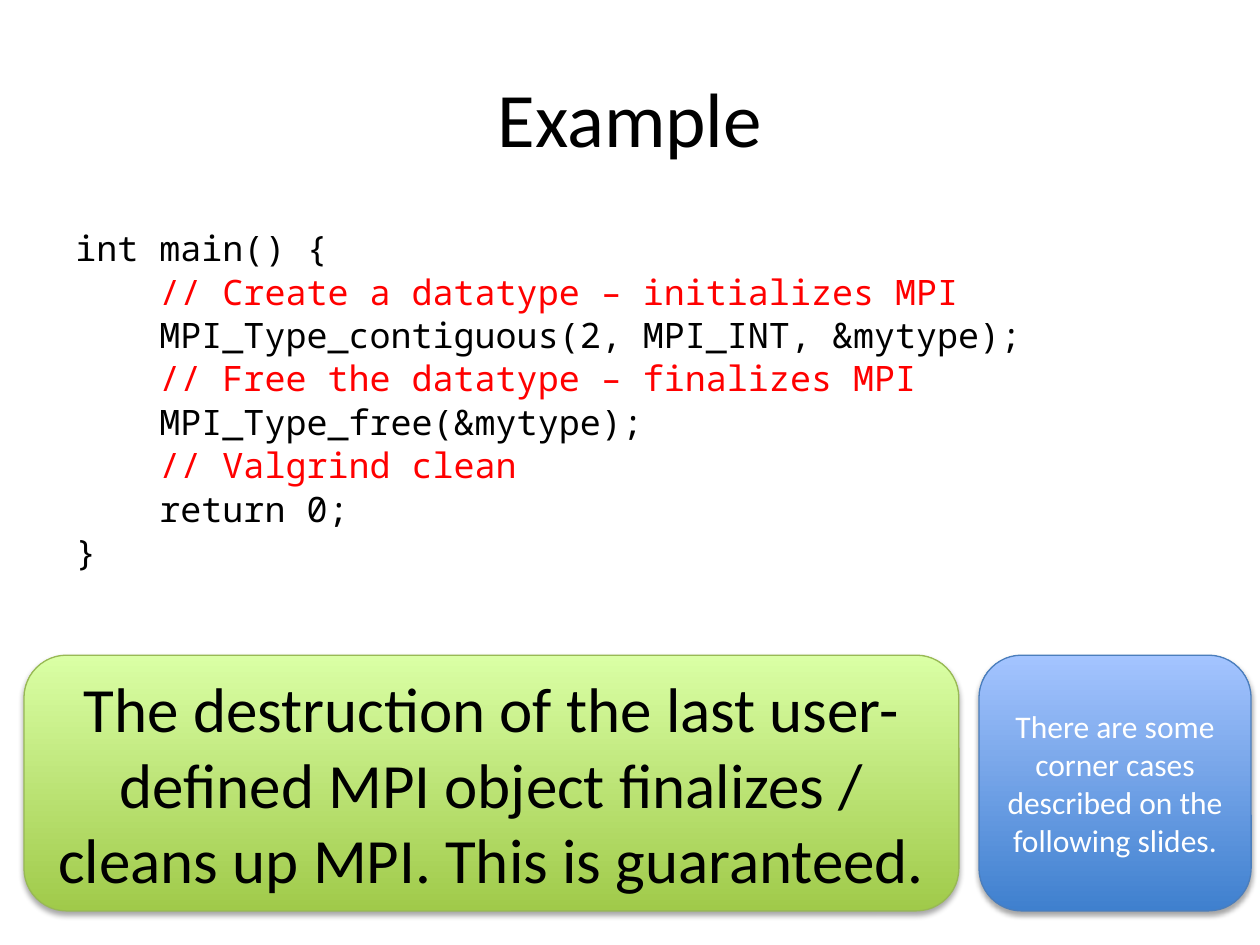
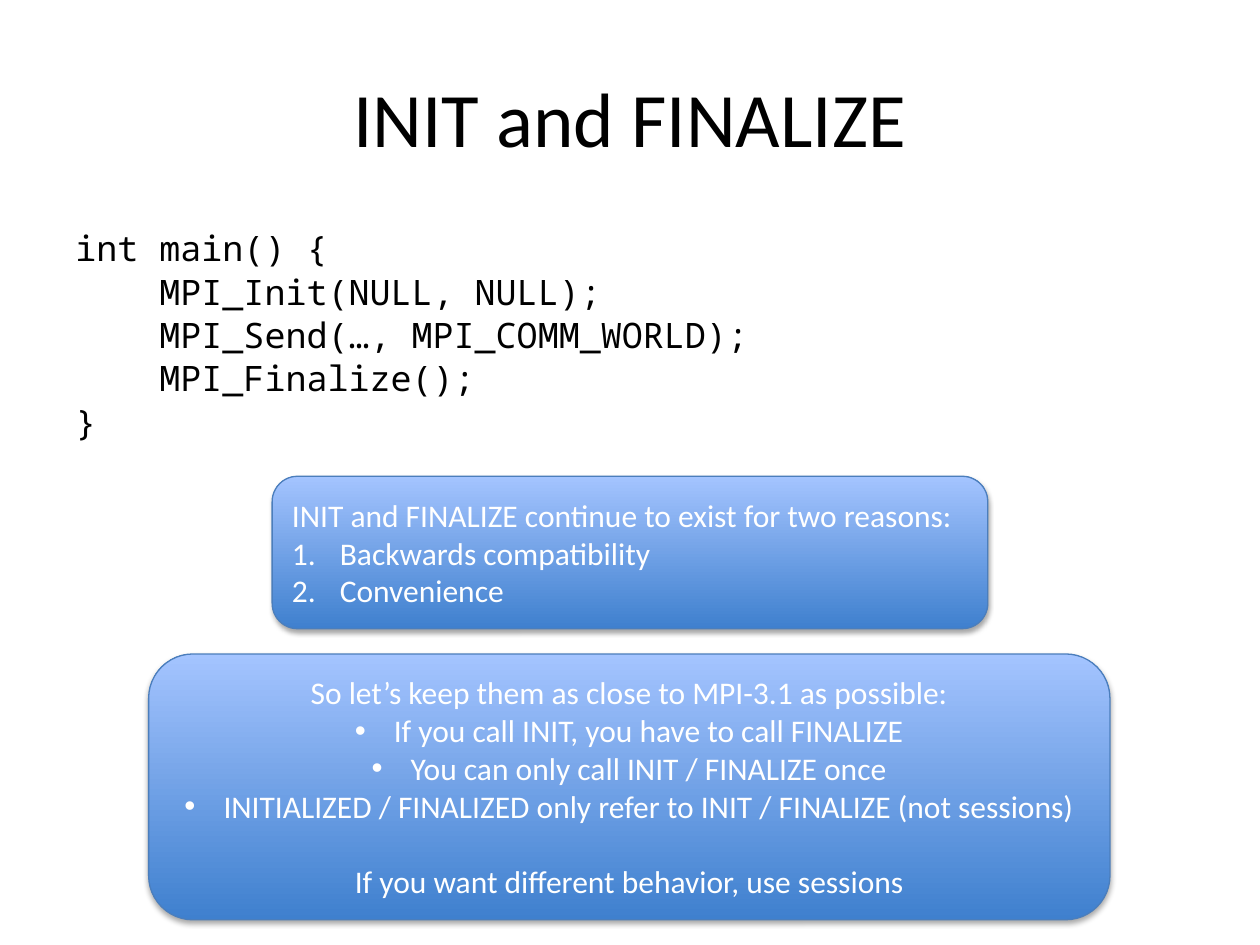
from lxml import etree
from pptx import Presentation
from pptx.dml.color import RGBColor
from pptx.enum.shapes import MSO_SHAPE as SHAPE
from pptx.enum.text import MSO_ANCHOR as ANCHOR, PP_ALIGN as ALIGN
from pptx.oxml.ns import qn
from pptx.util import Inches, Pt

# Shared colours, fonts and formats
BLACK = RGBColor(0x00, 0x00, 0x00)
WHITE = RGBColor(0xFF, 0xFF, 0xFF)
RED = RGBColor(0xFF, 0x00, 0x00)
GREEN = dict(bottom=RGBColor(0xA0, 0xCA, 0x4A), top=RGBColor(0xDA, 0xFF, 0xA5),
             line=RGBColor(0x98, 0xB9, 0x55))
BLUE = dict(bottom=RGBColor(0x3F, 0x80, 0xCE), top=RGBColor(0xA4, 0xC4, 0xFF),
            line=RGBColor(0x4B, 0x7E, 0xBC))

TITLE_FONT = dict(name="Calibri", size=Pt(44))
CODE_FONT = dict(name="Noto Sans Mono", size=Pt(20))
NOTE_FONT = dict(name="Calibri", size=Pt(18))
CLAIM_FONT = dict(name="Calibri", size=Pt(36))

NUMBER = ("buAutoNum", dict(type="arabicPeriod"), 0.38)
BULLET = ("buChar", dict(char="•"), 0.31)

# Slide content
EXAMPLE_CODE = [
    "int main() {",
    "    // Create a datatype – initializes MPI",
    "    MPI_Type_contiguous(2, MPI_INT, &mytype);",
    "    // Free the datatype – finalizes MPI",
    "    MPI_Type_free(&mytype);",
    "    // Valgrind clean",
    "    return 0;",
    "}",
]
INIT_CODE = [
    "int main() {",
    "    MPI_Init(NULL, NULL);",
    "    MPI_Send(…, MPI_COMM_WORLD);",
    "    MPI_Finalize();",
    "}",
]
REASONS = [
    ("INIT and FINALIZE continue to exist for two reasons:", None),
    ("Backwards compatibility", NUMBER),
    ("Convenience", NUMBER),
]
RULES = [
    ("So let’s keep them as close to MPI-3.1 as possible:", None),
    ("If you call INIT, you have to call FINALIZE", BULLET),
    ("You can only call INIT / FINALIZE once", BULLET),
    ("INITIALIZED / FINALIZED only refer to INIT / FINALIZE (not sessions)", BULLET),
    ("If you want different behavior, use sessions", None),
]


def set_all(obj, values):
    for key, value in values.items():
        setattr(obj, key, value)


def add_line(tf, index, text, font, color, align=ALIGN.LEFT):
    p = tf.paragraphs[0] if index == 0 else tf.add_paragraph()
    p.alignment = align
    r = p.add_run()
    r.text = text
    set_all(r.font, font)
    r.font.color.rgb = color
    return p


def add_box(s, left, top, width, height, anchor):
    box = s.shapes.add_textbox(*map(Inches, (left, top, width, height)))
    set_all(box.text_frame, dict(word_wrap=True, vertical_anchor=anchor))
    return box.text_frame


def add_title(s, text):
    tf = add_box(s, 0.5, 0.3, 9, 1.25, ANCHOR.MIDDLE)
    add_line(tf, 0, text, TITLE_FONT, BLACK, ALIGN.CENTER)


def add_code(s, lines):
    tf = add_box(s, 0.5, 1.75, 9, 4.95, ANCHOR.TOP)
    for i, text in enumerate(lines):
        color = RED if text.lstrip().startswith("//") else BLACK
        p = add_line(tf, i, text, CODE_FONT, color)
        if i:
            p.space_before = Pt(0.8)


def add_shadow(sp):
    sp.shadow.inherit = False
    effects = sp._element.spPr.find(qn("a:effectLst"))
    shadow = etree.SubElement(effects, qn("a:outerShdw"), blurRad=str(Pt(3.1)),
                              dist=str(Pt(1.8)), dir="5400000", rotWithShape="0")
    color = etree.SubElement(shadow, qn("a:srgbClr"), val=str(BLACK))
    etree.SubElement(color, qn("a:alpha"), val="35000")


def set_marker(p, marker):
    tag, attrs, indent = marker
    pPr = p._p.get_or_add_pPr()
    pPr.set("marL", str(Inches(indent)))
    pPr.set("indent", str(-Inches(indent)))
    etree.SubElement(pPr, qn("a:buFont"), typeface="Arial" if tag == "buChar" else "+mj-lt")
    etree.SubElement(pPr, qn("a:" + tag), **attrs)


def add_callout(s, place, lines, theme=BLUE, font=NOTE_FONT, color=WHITE, align=ALIGN.CENTER):
    sp = s.shapes.add_shape(SHAPE.ROUNDED_RECTANGLE, *map(Inches, place))
    sp.fill.gradient()
    sp.fill.gradient_angle = 90
    for stop, key in zip(sp.fill.gradient_stops, ("bottom", "top")):
        stop.color.rgb = theme[key]
    for stop, position in zip(sp.fill.gradient_stops, (0, 1)):
        stop.position = position
    sp.line.color.rgb = theme["line"]
    sp.line.width = Pt(0.75)
    add_shadow(sp)

    tf = sp.text_frame
    set_all(tf, dict(word_wrap=True, vertical_anchor=ANCHOR.MIDDLE))
    previous = None
    for i, (text, marker) in enumerate(lines):
        p = add_line(tf, i, text, font, color, align)
        if previous and not marker:
            p.space_before = Pt(21.6)  # one line of space after a list
        if marker:
            set_marker(p, marker)
        previous = marker


def add_slide(prs, title, code):
    s = prs.slides.add_slide(prs.slide_layouts[6])
    add_title(s, title)
    add_code(s, code)
    return s


def main():
    prs = Presentation()
    set_all(prs, dict(slide_width=Inches(10), slide_height=Inches(7.5)))

    # Example
    s = add_slide(prs, "Example", EXAMPLE_CODE)
    claim = ("The destruction of the last user-defined MPI object finalizes / "
             "cleans up MPI. This is guaranteed.")
    add_callout(s, (0.19, 5.2, 7.42, 2.03), [(claim, None)], GREEN, CLAIM_FONT, BLACK)
    corner_cases = "There are some corner cases described on the following slides."
    add_callout(s, (7.77, 5.2, 2.16, 2.03), [(corner_cases, None)])

    # INIT and FINALIZE
    s = add_slide(prs, "INIT and FINALIZE", INIT_CODE)
    add_callout(s, (2.16, 3.78, 5.68, 1.21), REASONS, align=ALIGN.LEFT)
    add_callout(s, (1.18, 5.19, 7.63, 2.11), RULES)

    prs.save("out.pptx")


if __name__ == "__main__":
    main()
